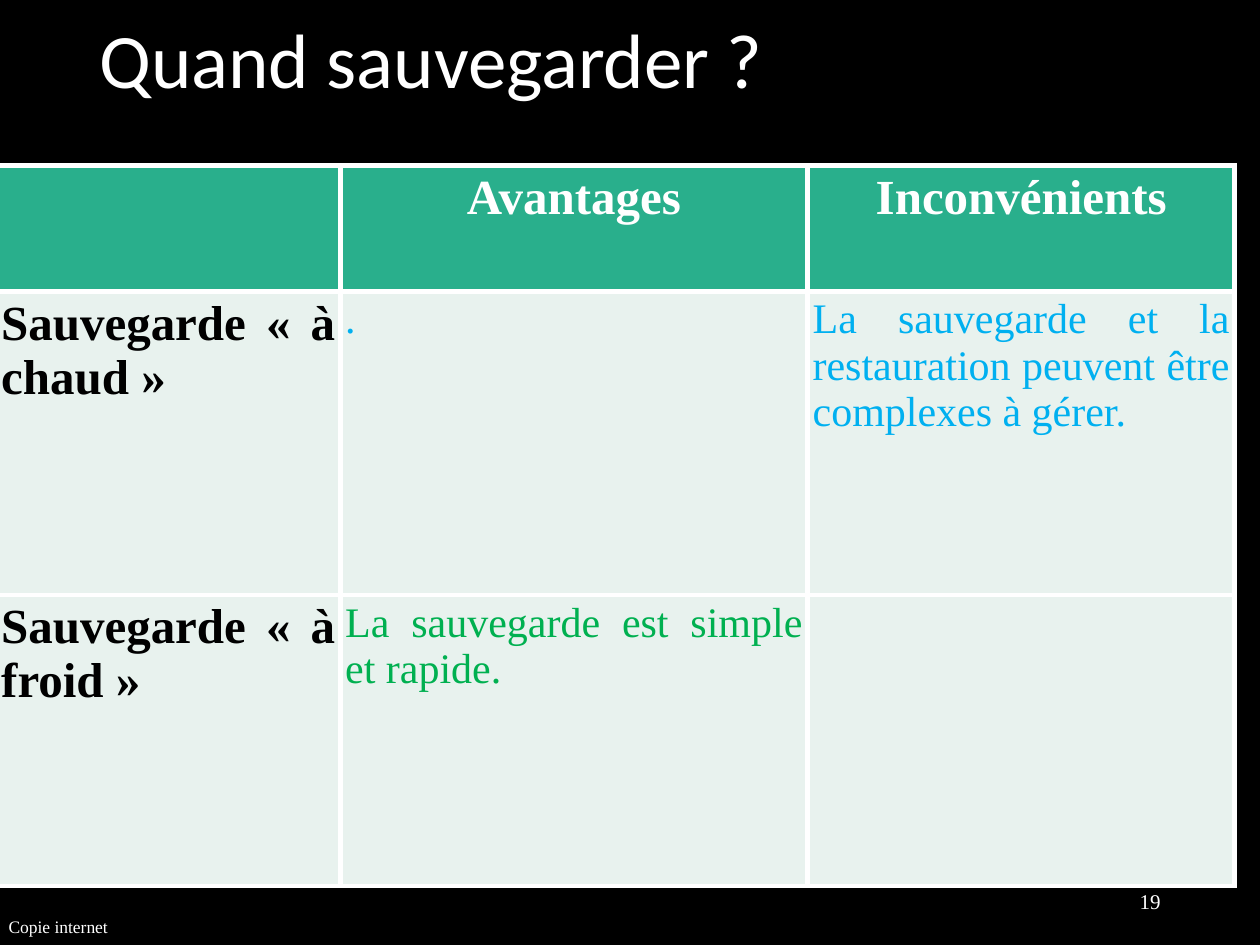
"""Build a slide comparing hot and cold backups in a table."""
from dataclasses import dataclass

import lxml.etree
import pptx
import pptx.dml.color
import pptx.enum.text
import pptx.oxml
import pptx.oxml.ns
import pptx.util

ALIGN = pptx.enum.text.PP_ALIGN
ANCHOR = pptx.enum.text.MSO_ANCHOR
SERIF = "Times New Roman"
WHITE, BLACK = "FFFFFF", "000000"
HEADER, BODY = "29AF8C", "E8F2EE"
BLUE, GREEN = "00B0F0", "00B050"
WIDTH, HEIGHT = 10, 7.5


@dataclass
class Style:
    """Look of one run of text."""
    size: float
    color: str = WHITE
    font: str = SERIF
    bold: bool = False
    align: ALIGN = ALIGN.LEFT


@dataclass
class Label:
    """Text box with left, top, width and height as shares of the slide."""
    text: str
    box: tuple[float, float, float, float]
    style: Style
    anchor: ANCHOR = ANCHOR.MIDDLE
    spacing: float = 1.0


@dataclass
class Cell:
    """Table cell with its text, style and fill."""
    text: str
    style: Style
    fill: str = BODY


def rgb(color: str) -> pptx.dml.color.RGBColor:
    """Turn a hex string into a colour."""
    return pptx.dml.color.RGBColor.from_string(color)


def place(box: tuple[float, float, float, float]) -> list[int]:
    """Turn shares of the slide into lengths."""
    return [pptx.util.Inches(share * side)
            for share, side in zip(box, (WIDTH, HEIGHT) * 2)]


def write(tf, text: str, style: Style) -> None:
    """Set and format the single paragraph of a text frame."""
    tf.text = text
    p = tf.paragraphs[0]
    p.alignment = style.align
    for r in p.runs:
        r.font.size = pptx.util.Pt(style.size)
        r.font.name = style.font
        r.font.bold = style.bold
        r.font.color.rgb = rgb(style.color)


def draw_label(s, label: Label) -> None:
    """Draw one text box."""
    tf = s.shapes.add_textbox(*place(label.box)).text_frame
    tf.word_wrap = True
    tf.vertical_anchor = label.anchor
    write(tf, label.text, label.style)
    tf.paragraphs[0].line_spacing = label.spacing


def add_borders(cell, color: str, width: float) -> None:
    """Outline all four sides of a cell, ahead of its fill."""
    tc_pr = cell._tc.get_or_add_tcPr()
    for i, side in enumerate(("a:lnL", "a:lnR", "a:lnT", "a:lnB")):
        ln = pptx.oxml.ns.qn(side)
        line = lxml.etree.Element(ln, w=str(pptx.util.Pt(width)))
        fill = lxml.etree.SubElement(line, pptx.oxml.ns.qn("a:solidFill"))
        lxml.etree.SubElement(fill, pptx.oxml.ns.qn("a:srgbClr"), val=color)
        tc_pr.insert(i, line)


def draw_table(s, box: tuple[float, float, float, float], cols: list[float],
               rows: list[float], cells: list[list[Cell]]) -> None:
    """Draw the table with columns and rows given in inches."""
    table = s.shapes.add_table(len(rows), len(cols), *place(box)).table
    for column, width in zip(table.columns, cols):
        column.width = pptx.util.Inches(width)
    for row, height, items in zip(table.rows, rows, cells):
        row.height = pptx.util.Inches(height)
        for cell, item in zip(row.cells, items):
            cell.margin_left = cell.margin_right = pptx.util.Inches(0.04)
            cell.margin_top = cell.margin_bottom = pptx.util.Inches(0.04)
            cell.fill.solid()
            cell.fill.fore_color.rgb = rgb(item.fill)
            write(cell.text_frame, item.text, item.style)
            add_borders(cell, WHITE, 3)


HEAD = Style(28, bold=True, align=ALIGN.CENTER)
KIND = Style(28, BLACK, bold=True, align=ALIGN.JUSTIFY)
HOT = Style(24, BLUE, align=ALIGN.JUSTIFY)
COLD = Style(24, GREEN, align=ALIGN.JUSTIFY)

LABELS = [
    Label("Quand sauvegarder ?", (0.069, 0.017, 0.862, 0.1),
          Style(44, font="Calibri"), spacing=0.9),
    Label("19", (0.706, 0.927, 0.225, 0.053), Style(12, align=ALIGN.RIGHT)),
    Label("Copie internet", (-0.003, 0.963, 0.236, 0.036), Style(10), ANCHOR.TOP),
]

CELLS = [
    [Cell(text, HEAD, HEADER) for text in ("", "Avantages", "Inconvénients")],
    [Cell("Sauvegarde « à chaud »", KIND), Cell(".", HOT),
     Cell("La sauvegarde et la restauration peuvent être complexes à gérer.", HOT)],
    [Cell("Sauvegarde « à froid »", KIND),
     Cell("La sauvegarde est simple et rapide.", COLD), Cell("", COLD)],
]


def main() -> None:
    """Build and save the slide."""
    prs = pptx.Presentation()
    prs.slide_width = pptx.util.Inches(WIDTH)
    prs.slide_height = pptx.util.Inches(HEIGHT)
    s = prs.slides.add_slide(prs.slide_layouts[6])
    s.background.fill.solid()
    s.background.fill.fore_color.rgb = rgb(BLACK)
    for label in LABELS:
        draw_label(s, label)
    draw_table(s, (-0.003, 0.175, 0.983, 0.763),
               [2.73, 3.71, 3.39], [1, 2.41, 2.31], CELLS)
    prs.save("out.pptx")


if __name__ == "__main__":
    main()
